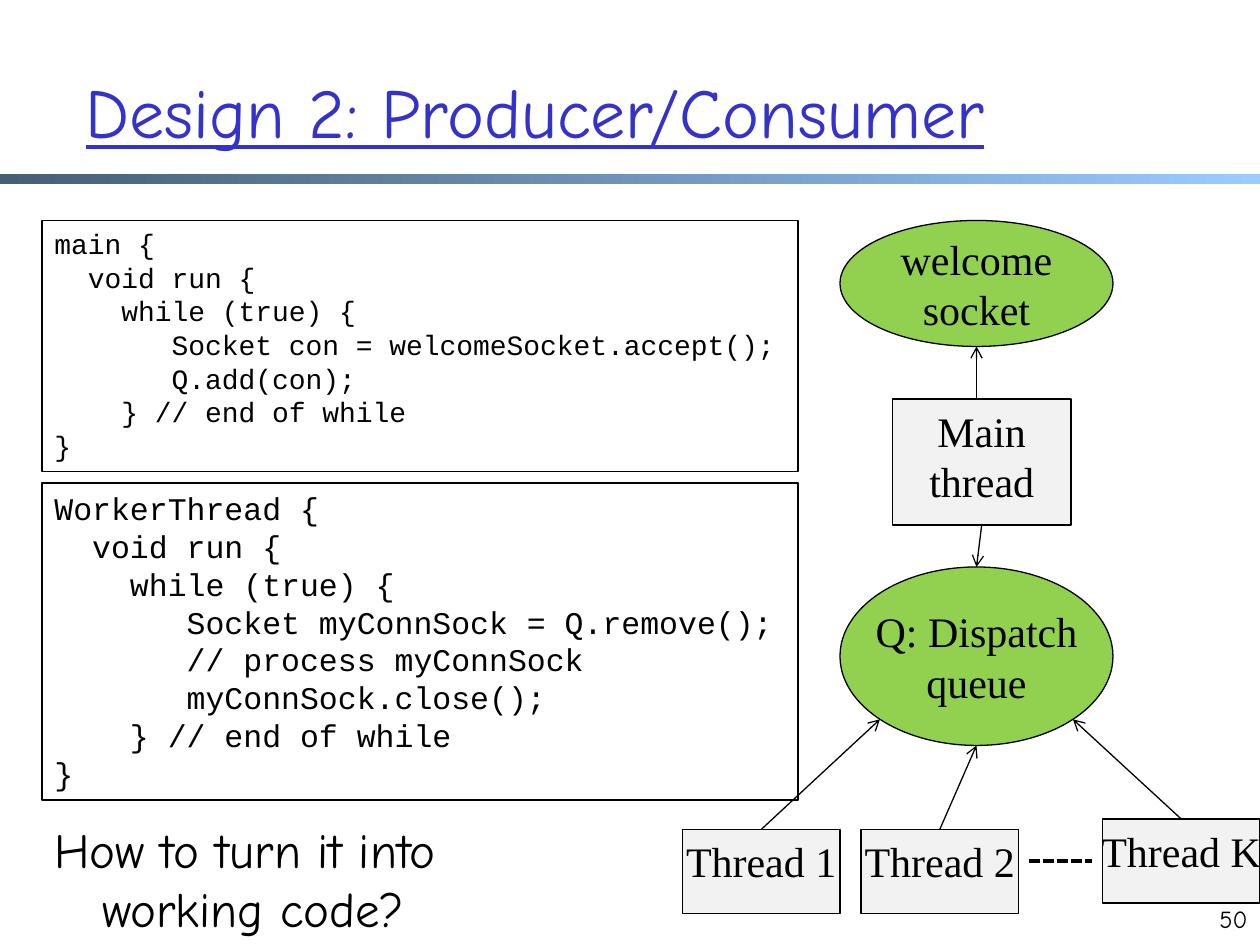
from dataclasses import dataclass, replace
from math import sqrt

from lxml import etree
from pptx import Presentation
from pptx.dml.color import RGBColor
from pptx.enum.dml import MSO_LINE
from pptx.enum.shapes import MSO_CONNECTOR, MSO_SHAPE
from pptx.enum.text import MSO_ANCHOR, MSO_AUTO_SIZE, PP_ALIGN
from pptx.oxml.ns import qn
from pptx.util import Inches, Pt

RECTANGLE, OVAL = MSO_SHAPE.RECTANGLE, MSO_SHAPE.OVAL
LEFT, CENTER, RIGHT = PP_ALIGN.LEFT, PP_ALIGN.CENTER, PP_ALIGN.RIGHT
TOP, MIDDLE = MSO_ANCHOR.TOP, MSO_ANCHOR.MIDDLE
SITE_TOP, SITE_BOTTOM = 0, 2

COLUMNS, ROWS = 120, 90  # one cell is 1/12 inch
BLACK, BLUE, GREEN, GRAY = "000000", "3333CC", "92D050", "F2F2F2"
HEADING_FONT, CODE_FONT, LABEL_FONT = "Comic Neue", "Courier New", "Times New Roman"

MAIN_CODE = """main {
  void run {
    while (true) {
       Socket con = welcomeSocket.accept();
       Q.add(con);
    } // end of while
}"""
WORKER_CODE = """WorkerThread {
  void run {
    while (true) {
       Socket myConnSock = Q.remove();
       // process myConnSock
       myConnSock.close();
    } // end of while
}"""


@dataclass(frozen=True)
class Area:
    column: float
    row: float
    columns: float
    rows: float

    def point(self, across: float, down: float) -> tuple[float, float]:
        """Grid position at the given shares of the width and height."""
        return self.column + across * self.columns, self.row + down * self.rows


@dataclass(frozen=True)
class Style:
    font: str
    size: int
    color: str = BLACK
    underline: bool = False
    align: PP_ALIGN = LEFT
    anchor: MSO_ANCHOR = TOP
    wrap: bool = True
    grow: bool = False
    hanging: float = 0


LABEL = Style(LABEL_FONT, 24, align=CENTER, wrap=False)
OVAL_LABEL = replace(LABEL, anchor=MIDDLE)

presentation = Presentation()
presentation.slide_width, presentation.slide_height = Inches(10), Inches(7.5)
slide = presentation.slides.add_slide(presentation.slide_layouts[6])
CELL = presentation.slide_height / ROWS


def cells(*counts: float) -> list[int]:
    return [round(count * CELL) for count in counts]


def box(area: Area) -> list[int]:
    return cells(area.column, area.row, area.columns, area.rows)


def rgb(color: str) -> RGBColor:
    return RGBColor.from_string(color)


def write(shape, text: str, style: Style) -> None:
    frame = shape.text_frame
    frame.word_wrap = style.wrap
    frame.vertical_anchor = style.anchor
    frame.auto_size = MSO_AUTO_SIZE.SHAPE_TO_FIT_TEXT if style.grow else MSO_AUTO_SIZE.NONE
    paragraph = frame.paragraphs[0]
    paragraph.alignment = style.align
    if style.hanging:
        properties = paragraph._p.get_or_add_pPr()
        properties.set("marL", str(Inches(style.hanging)))
        properties.set("indent", str(-Inches(style.hanging)))
    for number, line in enumerate(text.split("\n")):
        if number:
            paragraph.add_line_break()
        run = paragraph.add_run()
        run.text = line
        run.font.name = style.font
        run.font.size = Pt(style.size)
        run.font.underline = style.underline
        run.font.color.rgb = rgb(style.color)


def add_text(area: Area, text: str, style: Style) -> None:
    write(slide.shapes.add_textbox(*box(area)), text, style)


def add_box(kind: MSO_SHAPE, area: Area, text: str, style: Style, fill: str | None = None):
    shape = slide.shapes.add_shape(kind, *box(area))
    shape.shadow.inherit = False
    if fill:
        shape.fill.solid()
        shape.fill.fore_color.rgb = rgb(fill)
    else:
        shape.fill.background()
    shape.line.color.rgb = rgb(BLACK)
    shape.line.width = Pt(0.75)
    write(shape, text, style)
    return shape


def add_line(start: tuple[float, float], end: tuple[float, float], width: float = 0.75):
    connector = slide.shapes.add_connector(MSO_CONNECTOR.STRAIGHT, *cells(*start, *end))
    connector.line.color.rgb = rgb(BLACK)
    connector.line.width = Pt(width)
    etree.SubElement(connector._element.spPr, qn("a:effectLst"))
    return connector


def add_arrow(start: tuple[float, float], end: tuple[float, float]):
    connector = add_line(start, end)
    etree.SubElement(connector.line._get_or_add_ln(), qn("a:tailEnd"), type="arrow")
    return connector


def add_title_bar() -> None:
    bar = slide.shapes.add_shape(RECTANGLE, *box(Area(0, 16.6, COLUMNS, 0.95)))
    bar.shadow.inherit = False
    bar.line.fill.background()
    bar.fill.gradient()
    bar.fill.gradient_angle = 0
    for stop, position, color in zip(bar.fill.gradient_stops, (0, 1), ("475E76", "99CCFF")):
        stop.position = position
        stop.color.rgb = rgb(color)


def add_diagram() -> None:
    welcome = Area(80, 21, 26, 12)
    main = Area(85, 38, 17, 12)
    queue = Area(80, 54, 26, 17)
    near, far = 0.5 - sqrt(0.125), 0.5 + sqrt(0.125)  # diagonal points of an oval
    workers = [
        ("Thread 1", Area(65, 79, 15, 8), queue.point(near, far)),
        ("Thread 2", Area(82, 79, 15, 8), queue.point(0.5, 1)),
        ("Thread K", Area(105, 78, 15, 8), queue.point(far, far)),
    ]

    add_box(OVAL, welcome, "welcome\nsocket", OVAL_LABEL, GREEN)
    main_box = add_box(RECTANGLE, main, "Main\nthread", LABEL, GRAY)
    queue_oval = add_box(OVAL, queue, "Q: Dispatch\nqueue", OVAL_LABEL, GREEN)

    welcome_bottom = welcome.point(0.5, 1)
    add_arrow((welcome_bottom[0], main.row), welcome_bottom)
    dispatch = add_arrow(main.point(0.5, 1), queue.point(0.5, 0))
    dispatch.begin_connect(main_box, SITE_BOTTOM)
    dispatch.end_connect(queue_oval, SITE_TOP)

    for name, area, target in workers:
        worker = add_box(RECTANGLE, area, name, LABEL, GRAY)
        add_arrow(area.point(0.5, 0), target).begin_connect(worker, SITE_TOP)
    add_line((98, 82), (104, 82), 2).line.dash_style = MSO_LINE.SQUARE_DOT


add_title_bar()
add_text(Area(7, 3, 102, 15), "Design 2: Producer/Consumer",
         Style(HEADING_FONT, 40, BLUE, underline=True, anchor=MIDDLE))
add_text(Area(114, 85.5, 6, 6), "50", Style(HEADING_FONT, 14, align=RIGHT))
add_diagram()
add_box(RECTANGLE, Area(4, 21, 72, 23.9), MAIN_CODE, Style(CODE_FONT, 16, grow=True))
add_box(RECTANGLE, Area(4, 46, 72, 30.2), WORKER_CODE, Style(CODE_FONT, 18, grow=True))
add_text(Area(4, 77.5, 45, 12.5), "How to turn it into\nworking code?",
         Style(HEADING_FONT, 28, wrap=False, grow=True, hanging=0.38))
presentation.save("out.pptx")
